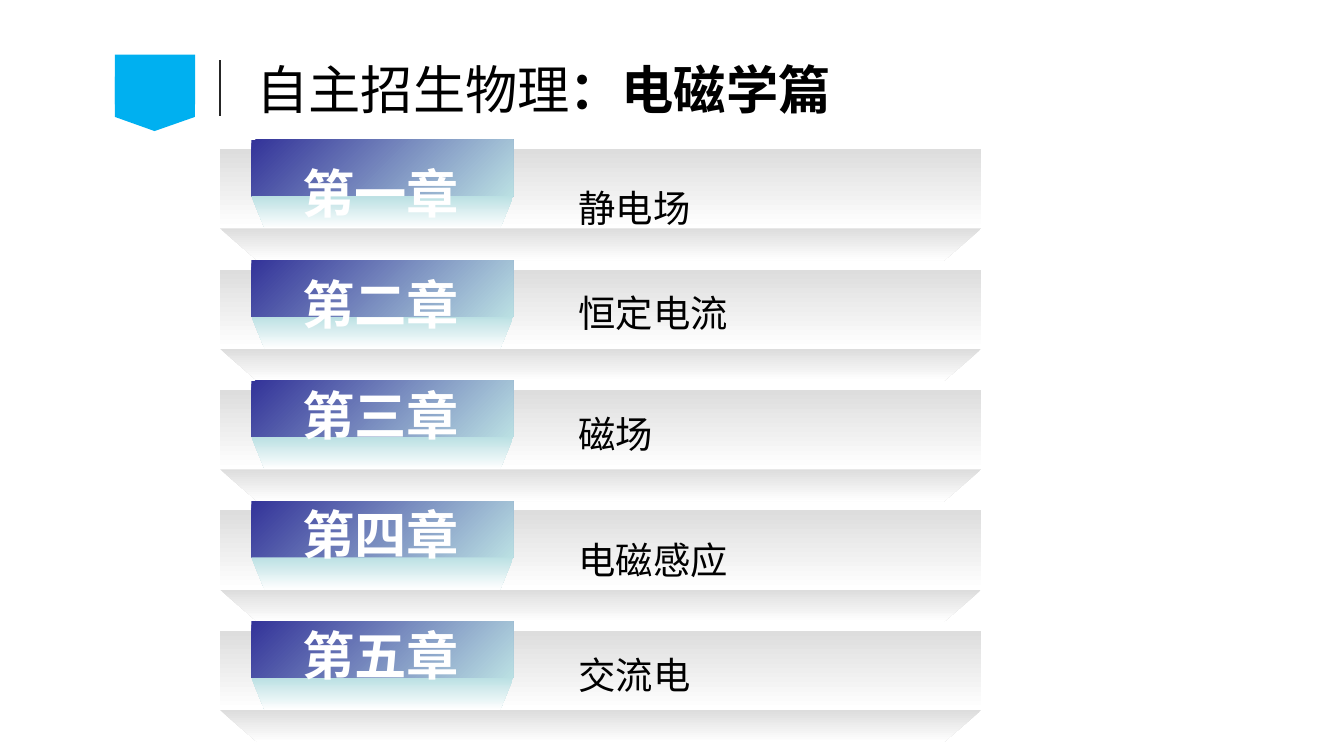
from typing import NamedTuple

from lxml import etree
from pptx import Presentation
from pptx.dml.color import RGBColor
from pptx.enum.shapes import MSO_CONNECTOR, MSO_SHAPE
from pptx.enum.text import MSO_ANCHOR, MSO_AUTO_SIZE
from pptx.oxml.ns import qn
from pptx.util import Inches, Pt

SKY = RGBColor(0x00, 0xB0, 0xF0)
INDIGO = RGBColor(0x33, 0x33, 0x99)
AQUA = RGBColor(0xBB, 0xE0, 0xE3)
SILVER = RGBColor(0xDD, 0xDD, 0xDD)
CHARCOAL = RGBColor(0x26, 0x26, 0x26)
BLACK = RGBColor(0x00, 0x00, 0x00)
WHITE = RGBColor(0xFF, 0xFF, 0xFF)

COLUMNS, ROWS = 100, 56.25
CELL = 0.1  # inches per column and per row
CJK_FONT = "Noto Sans CJK SC"

FIRST_BAND, BAND_PITCH = 11.1, 8.96
BAND_LEFT, BAND_WIDTH, BAND_HEIGHT = 16.37, 56.65, 5.9
RIBBON_LEFT, RIBBON_WIDTH, RIBBON_HEIGHT = 18.7, 19.5, 4.2
RIBBON_RISE = 0.7
FOLD_HEIGHT = 2.4


class Chapter(NamedTuple):
    number: str
    number_top: float
    number_width: float
    topic: str
    topic_top: float
    topic_width: float


CHAPTERS = [
    Chapter("第一章", 11.5, 15, "静电场", 13.3, 28.4),
    Chapter("第二章", 19.8, 14.2, "恒定电流", 21.1, 29.8),
    Chapter("第三章", 28, 15.9, "磁场", 30.1, 29.2),
    Chapter("第四章", 36.9, 15.9, "电磁感应", 39.5, 28.4),
    Chapter("第五章", 45.9, 15.9, "交流电", 48, 29.2),
]


def cells(count):
    return Inches(count * CELL)


def add_run(paragraph, text, *, size, color, font, bold=False):
    run = paragraph.add_run()
    run.text = text
    run.font.size = Pt(size)
    run.font.bold = bold
    run.font.name = font
    run.font.color.rgb = color
    east_asian = etree.SubElement(run.font._element, qn("a:ea"))
    east_asian.set("typeface", CJK_FONT)


class Painter:
    """Draws on one slide; all lengths are columns and rows of the grid."""

    def __init__(self, slide):
        self.shapes = slide.shapes

    def finish(self, shape, colors, angle):
        """Fill with one colour, or with a gradient turned clockwise by angle."""
        shape.shadow.inherit = False
        shape.line.fill.background()
        if len(colors) == 1:
            shape.fill.solid()
            shape.fill.fore_color.rgb = colors[0]
            return
        shape.fill.gradient()
        shape.fill.gradient_angle = 360 - angle
        for stop, color in zip(shape.fill.gradient_stops, colors):
            stop.color.rgb = color

    def rectangle(self, left, top, width, height, *colors, angle=90):
        box = self.shapes.add_shape(
            MSO_SHAPE.RECTANGLE, *map(cells, (left, top, width, height)))
        self.finish(box, colors, angle)

    def polygon(self, points, *colors, angle=90):
        corners = [(cells(x), cells(y)) for x, y in points]
        builder = self.shapes.build_freeform(*corners[0])
        builder.add_line_segments(corners[1:], close=True)
        self.finish(builder.convert_to_shape(), colors, angle)

    def fold(self, left, top, width, inset, *colors):
        """A trapezoid narrowing downwards by inset on each side."""
        right, bottom = left + width, top + FOLD_HEIGHT
        self.polygon([(left, top), (left + inset, bottom),
                      (right - inset, bottom), (right, top)], *colors)

    def rule(self, x, top, bottom, color, weight):
        line = self.shapes.add_connector(
            MSO_CONNECTOR.STRAIGHT, cells(x), cells(top), cells(x), cells(bottom))
        line.line.color.rgb = color
        line.line.width = Pt(weight)
        etree.SubElement(line._element.spPr, qn("a:effectLst"))

    def text(self, left, top, width, height, *parts, anchor=MSO_ANCHOR.TOP,
             **style):
        """Each part is a text and whether it is bold."""
        frame = self.shapes.add_textbox(
            *map(cells, (left, top, width, height))).text_frame
        frame.word_wrap = True
        frame.auto_size = MSO_AUTO_SIZE.NONE
        frame.vertical_anchor = anchor
        for words, bold in parts:
            add_run(frame.paragraphs[0], words, bold=bold, **style)

    def header(self):
        self.polygon([(14.5, 5.7), (14.5, 8.7), (11.5, 9.75), (8.55, 8.7),
                      (8.55, 5.7)], SKY)
        self.rectangle(8.55, 4.07, 5.97, 3.7, SKY)
        self.rule(BAND_LEFT, 4.5, 8.6, CHARCOAL, 0.75)
        self.text(18.1, 2.75, 63.2, 7.7, ("自主招生物理", False),
                  ("：电磁学篇", True), anchor=MSO_ANCHOR.MIDDLE,
                  size=28, color=BLACK, font="Arial")

    def chapter(self, chapter, top):
        ribbon_top = top - RIBBON_RISE
        self.rectangle(BAND_LEFT, top, BAND_WIDTH, BAND_HEIGHT, SILVER, WHITE)
        self.rectangle(RIBBON_LEFT, ribbon_top, RIBBON_WIDTH, RIBBON_HEIGHT,
                       INDIGO, AQUA, angle=45)
        self.fold(BAND_LEFT, top + BAND_HEIGHT, BAND_WIDTH, 2.8, SILVER, WHITE)
        self.fold(RIBBON_LEFT, ribbon_top + RIBBON_HEIGHT, RIBBON_WIDTH, 1,
                  AQUA, WHITE)
        self.text(21.5, chapter.number_top, chapter.number_width, 5.7,
                  (chapter.number, True), size=28, color=WHITE, font=CJK_FONT)
        self.text(42.05, chapter.topic_top, chapter.topic_width, 4.4,
                  (chapter.topic, False), size=20, color=BLACK, font="Calibri")


def main():
    deck = Presentation()
    deck.slide_width, deck.slide_height = cells(COLUMNS), cells(ROWS)
    painter = Painter(deck.slides.add_slide(deck.slide_layouts[6]))
    painter.header()
    for index, chapter in enumerate(CHAPTERS):
        painter.chapter(chapter, FIRST_BAND + index * BAND_PITCH)
    deck.save("out.pptx")


if __name__ == "__main__":
    main()
